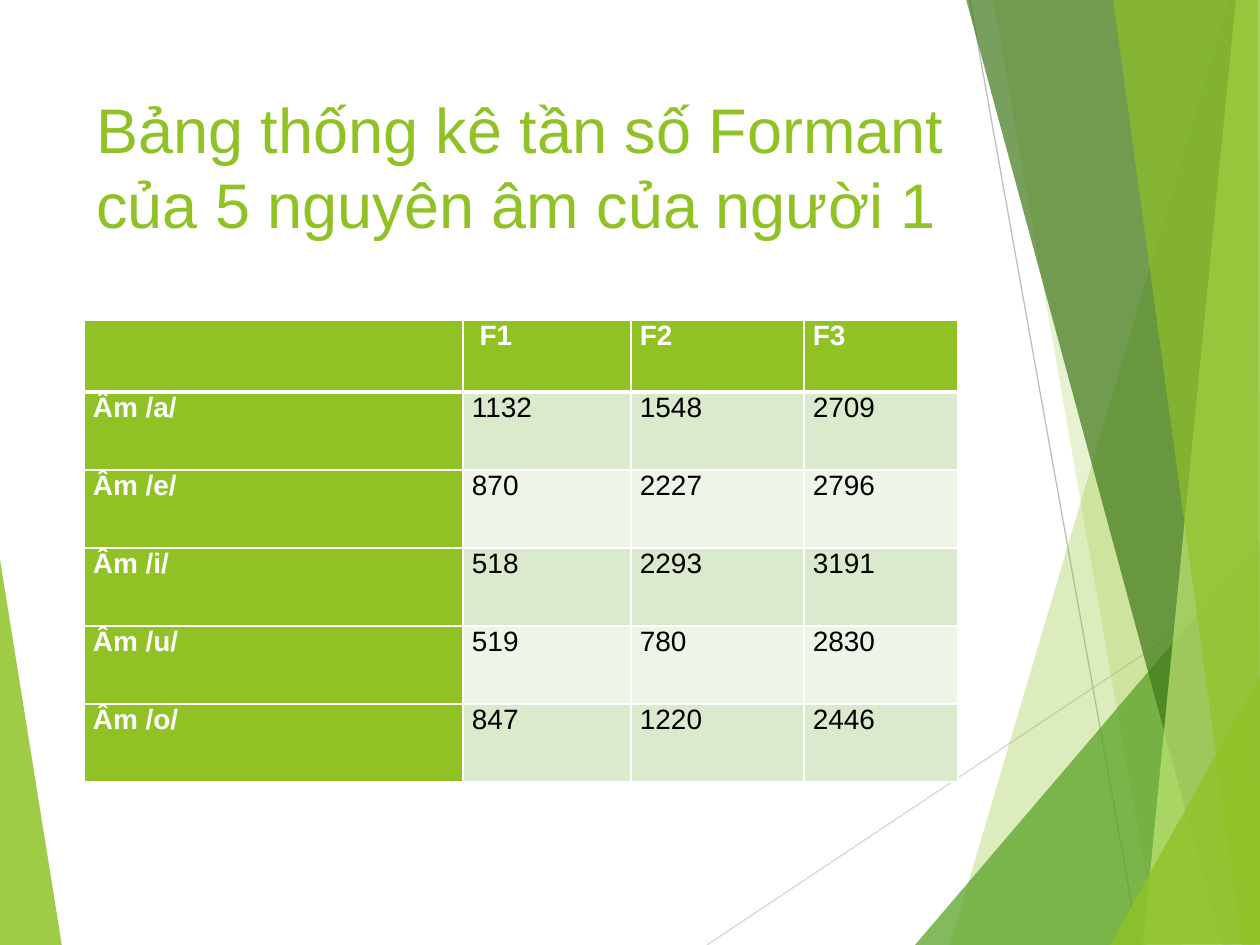
from typing import NamedTuple

from lxml.etree import SubElement
from pptx import Presentation
from pptx.dml.color import RGBColor
from pptx.enum.shapes import MSO_CONNECTOR as Connector
from pptx.enum.text import MSO_ANCHOR as Anchor, PP_ALIGN as Align
from pptx.oxml.ns import qn
from pptx.util import Emu, Pt

EMU_PER_PX = 914400 / 126
COLORS = {
    "lime": "90C226",
    "green": "54A021",
    "forest": "3F7819",
    "pale": "C0E474",
    "band_dark": "DBE9CD",
    "band_light": "EEF4E8",
    "ray_light": "D9D9D9",
    "ray_dark": "BFBFBF",
    "white": "FFFFFF",
    "black": "000000",
}


class Facet(NamedTuple):
    color: str
    opacity: int
    points: list[tuple[int, int]]


class Ray(NamedTuple):
    color: str
    start: tuple[int, int]
    end: tuple[int, int]


LEFT_FACET = Facet("lime", 85, [(-1, 553), (62, 946), (-1, 945)])
RAYS = [
    Ray("ray_light", (707, 945), (1261, 576)),
    Ray("ray_dark", (970, 0), (1139, 945)),
]
RIGHT_FACETS = [
    Facet("lime", 30, [(1229, 0), (950, 945), (1262, 946), (1261, 1)]),
    Facet("lime", 20, [(993, -1), (1158, 945), (1261, 945), (1261, -1)]),
    Facet("green", 72, [(915, 945), (1260, 541), (1261, 945)]),
    Facet("forest", 70, [(966, -1), (1222, 945), (1261, 944), (1261, -1)]),
    Facet("pale", 70, [(1236, -1), (1143, 945), (1261, 945), (1260, -1)]),
    Facet("lime", 65, [(1113, -1), (1242, 945), (1260, 945), (1257, -1)]),
    Facet("lime", 80, [(1110, 945), (1261, 674), (1261, 944)]),
]
TITLE = "Bảng thống kê tần số Formant của 5 nguyên âm của người 1"
FORMANTS = [
    ["", " F1", "F2", "F3"],
    ["Âm /a/", "1132", "1548", "2709"],
    ["Âm /e/", "870", "2227", "2796"],
    ["Âm /i/", "518", "2293", "3191"],
    ["Âm /u/", "519", "780", "2830"],
    ["Âm /o/", "847", "1220", "2446"],
]
COLUMN_WIDTHS = [379, 168, 173, 154]
HEADER_HEIGHT, VOWEL_HEIGHT = 72, 78


def px(length: int) -> Emu:
    return Emu(round(length * EMU_PER_PX))


def rgb(color: str) -> RGBColor:
    return RGBColor.from_string(COLORS[color])


def apply(target, values: dict) -> None:
    for attribute, value in values.items():
        setattr(target, attribute, value)


def draw_facet(slide, facet: Facet) -> None:
    builder = slide.shapes.build_freeform(*facet.points[0], scale=EMU_PER_PX)
    builder.add_line_segments(facet.points[1:], close=True)
    shard = builder.convert_to_shape()
    shard.shadow.inherit = False
    shard.line.fill.background()
    shard.fill.solid()
    shard.fill.fore_color.rgb = rgb(facet.color)
    tint = shard.fill._xPr.find(qn("a:solidFill"))[0]
    SubElement(tint, qn("a:alpha"), val=str(facet.opacity * 1000))


def draw_ray(slide, ray: Ray) -> None:
    ends = [px(value) for value in ray.start + ray.end]
    streak = slide.shapes.add_connector(Connector.STRAIGHT, *ends)
    streak.line.color.rgb = rgb(ray.color)
    streak.line.width = Pt(0.75)
    SubElement(streak._element.spPr, qn("a:effectLst"))


def write(paragraph, text: str, color: str, size: int, bold: bool = False) -> None:
    run = paragraph.add_run()
    run.text = text
    apply(run.font, {"name": "Arial", "size": Pt(size), "bold": bold})
    run.font.color.rgb = rgb(color)


def draw_title(slide) -> None:
    heading = slide.shapes.add_textbox(px(84), px(84), px(874), px(182)).text_frame
    apply(heading, {"word_wrap": True, "vertical_anchor": Anchor.TOP})
    write(heading.paragraphs[0], TITLE, "lime", 36)


def draw_borders(cell, widths: dict[str, int]) -> None:
    properties = cell._tc.get_or_add_tcPr()
    for position, (side, width) in enumerate(widths.items()):
        border = properties.makeelement(qn(f"a:{side}"), {"w": str(Pt(width))})
        paint = SubElement(border, qn("a:solidFill"))
        SubElement(paint, qn("a:srgbClr"), val=COLORS["white"])
        properties.insert(position, border)


def draw_formants(slide) -> None:
    heights = [HEADER_HEIGHT] + [VOWEL_HEIGHT] * (len(FORMANTS) - 1)
    frame = slide.shapes.add_table(
        len(FORMANTS), len(COLUMN_WIDTHS), px(84), px(320),
        px(sum(COLUMN_WIDTHS)), px(sum(heights)),
    )
    formants = frame.table
    for column, width in zip(formants.columns, COLUMN_WIDTHS):
        column.width = px(width)
    for row, height in zip(formants.rows, heights):
        row.height = px(height)
    margins = {
        "margin_left": px(9), "margin_right": px(9),
        "margin_top": 0, "margin_bottom": 0,
    }
    for r, values in enumerate(FORMANTS):
        for c, value in enumerate(values):
            cell = formants.cell(r, c)
            label = r == 0 or c == 0
            band = "band_dark" if r % 2 else "band_light"
            apply(cell, margins)
            cell.fill.solid()
            cell.fill.fore_color.rgb = rgb("lime" if label else band)
            draw_borders(cell, {
                "lnL": 1, "lnR": 1,
                "lnT": 3 if r == 1 else 1, "lnB": 3 if r == 0 else 1,
            })
            if value:
                entry = cell.text_frame.paragraphs[0]
                entry.alignment = Align.JUSTIFY
                write(entry, value, "white" if label else "black", 16, label)


def main() -> None:
    deck = Presentation()
    apply(deck, {"slide_width": px(1260), "slide_height": px(945)})
    slide = deck.slides.add_slide(deck.slide_layouts[6])
    draw_facet(slide, LEFT_FACET)
    for ray in RAYS:
        draw_ray(slide, ray)
    for facet in RIGHT_FACETS:
        draw_facet(slide, facet)
    draw_title(slide)
    draw_formants(slide)
    deck.save("out.pptx")


if __name__ == "__main__":
    main()
